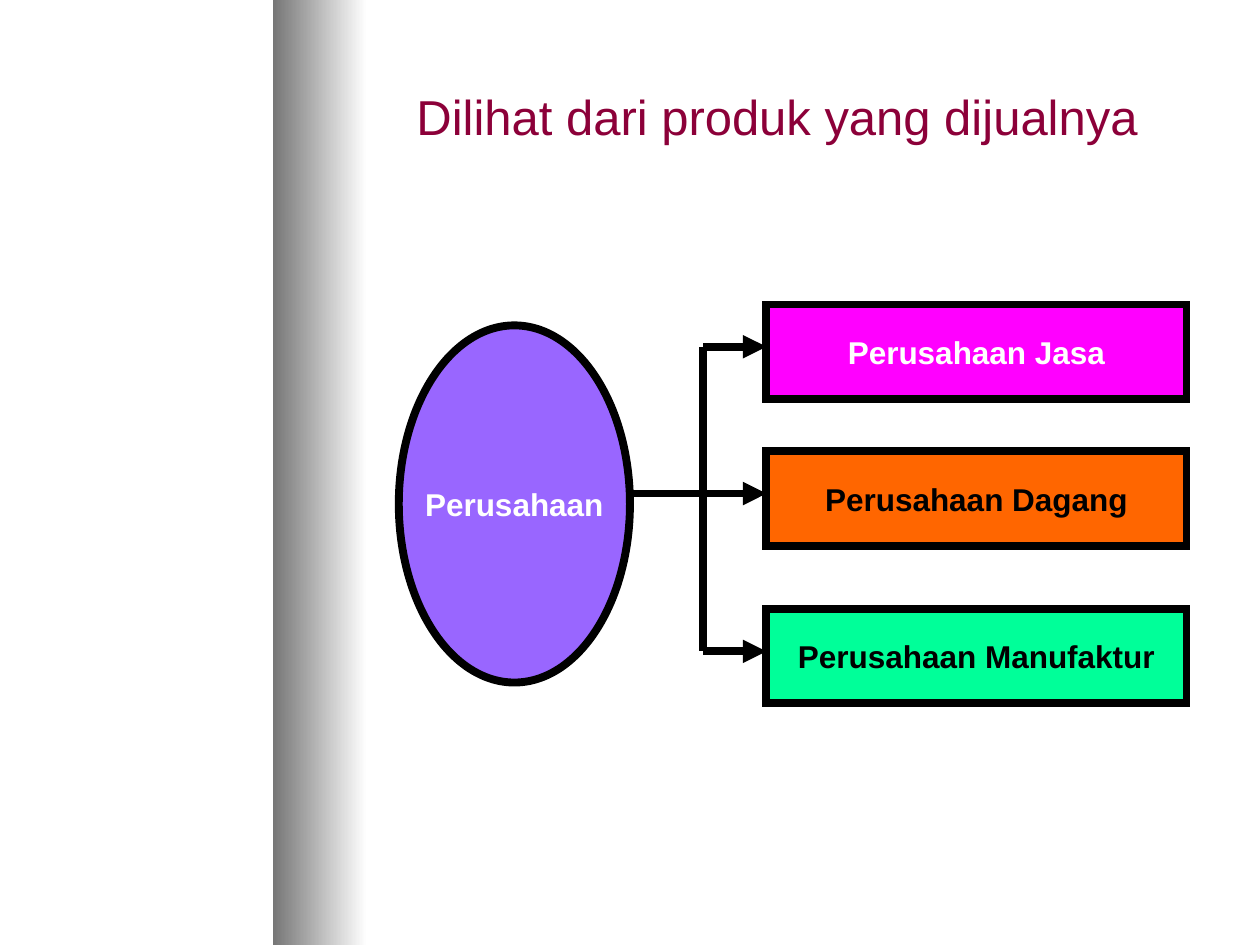
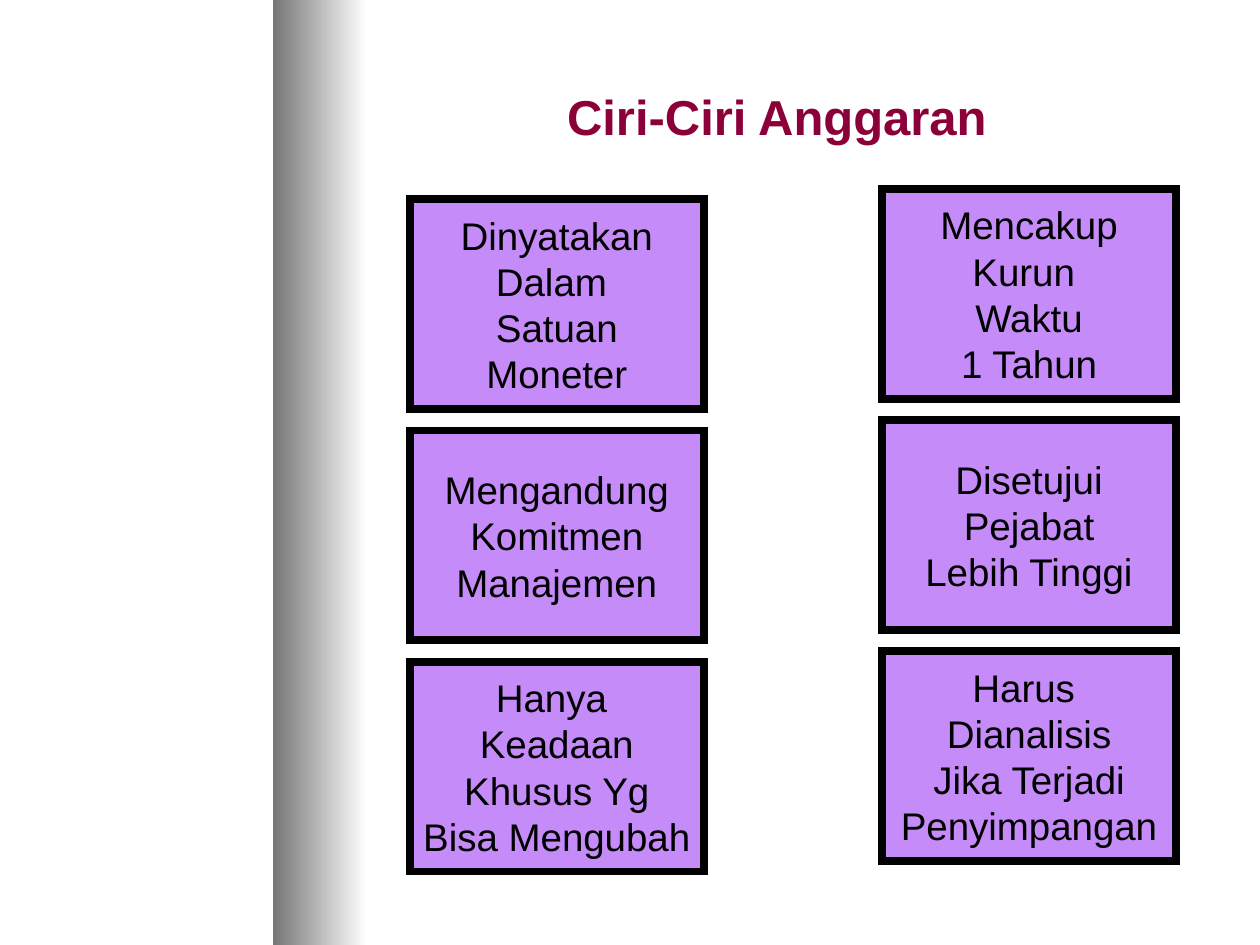
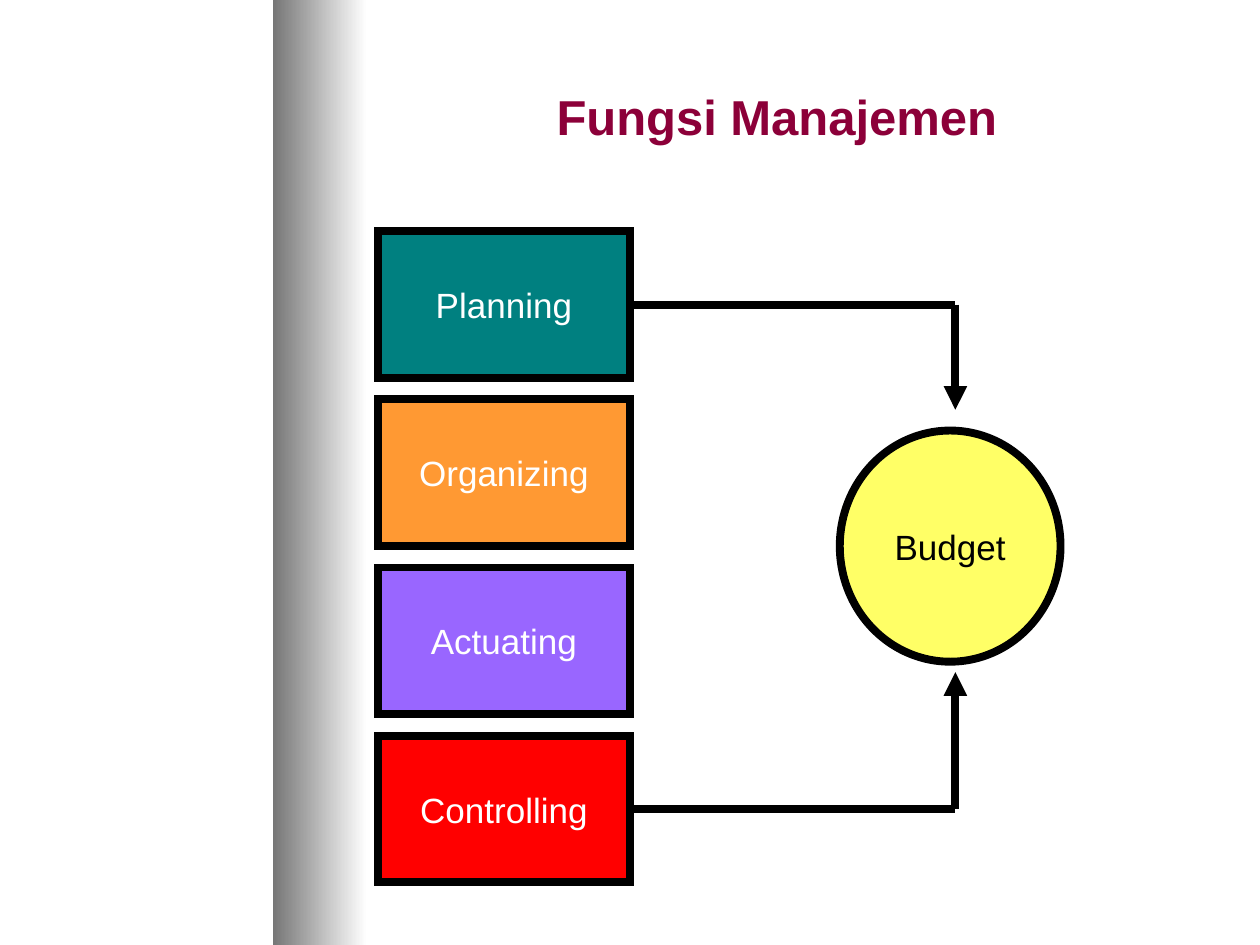
"""Builds three slides on company types, budget traits and management functions."""
import collections

import pptx
import pptx.dml.color
import pptx.enum.shapes
import pptx.enum.text
import pptx.oxml.ns
import pptx.util
from lxml import etree

Cm = pptx.util.Cm
SHAPES = pptx.enum.shapes.MSO_SHAPE
Box = collections.namedtuple("Box", "left top width height")

FONT = "Arial"
BLACK, WHITE = "000000", "FFFFFF"
MAROON, VIOLET, LILAC = "8C0039", "9966FF", "C58BF9"
BAND_DARK = "767676"
OUTLINE = 4.5
TITLE_BOX = Box(6.77, 0.64, 17.78, 3.39)
BAND_BOX = Box(5.5, 0, 1.9, 19.05)


def rgb(code):
    """Turns a hex string into a colour."""
    return pptx.dml.color.RGBColor.from_string(code)


def lengths(box):
    """Turns a box in centimetres into lengths."""
    return [Cm(value) for value in box]


def write(frame, text, size, color, bold=False):
    """Fills a text frame with centred, formatted lines."""
    frame.text = text
    frame.vertical_anchor = pptx.enum.text.MSO_ANCHOR.MIDDLE
    for paragraph in frame.paragraphs:
        paragraph.alignment = pptx.enum.text.PP_ALIGN.CENTER
        for run in paragraph.runs:
            run.font.name = FONT
            run.font.size = pptx.util.Pt(size)
            run.font.bold = bold
            run.font.color.rgb = rgb(color)


def stroke(line, tag, **attributes):
    """Gives a line its black colour and width, and one join or arrowhead."""
    line.color.rgb = rgb(BLACK)
    line.width = pptx.util.Pt(OUTLINE)
    etree.SubElement(line._get_or_add_ln(), pptx.oxml.ns.qn(tag), **attributes)


def add_node(slide, kind, box, fill, text, size, color=BLACK, bold=False):
    """Adds an outlined shape with centred text."""
    node = slide.shapes.add_shape(kind, *lengths(box))
    node.shadow.inherit = False
    node.fill.solid()
    node.fill.fore_color.rgb = rgb(fill)
    stroke(node.line, "a:miter", lim="800000")
    write(node.text_frame, text, size, color, bold)
    node.text_frame.word_wrap = False


def add_line(slide, start, end, arrow=False):
    """Adds a straight line between two points, with an arrowhead if wanted."""
    link = slide.shapes.add_connector(
        pptx.enum.shapes.MSO_CONNECTOR.STRAIGHT, *lengths(start + end))
    stroke(link.line, "a:tailEnd", type="triangle" if arrow else "none")
    etree.SubElement(link.element.spPr, pptx.oxml.ns.qn("a:effectLst"))


def add_band(slide):
    """Places the grey gradient band on the layout of the slide."""
    band = slide.shapes.add_shape(SHAPES.RECTANGLE, *lengths(BAND_BOX))
    band.shadow.inherit = False
    band.line.fill.background()
    band.fill.gradient()
    band.fill.gradient_angle = 0
    for stop, color in zip(band.fill.gradient_stops, (BAND_DARK, WHITE)):
        stop.color.rgb = rgb(color)
    slide.slide_layout.shapes._spTree.insert(2, band.element)


def add_titled_slide(deck, text, bold=True):
    """Adds a title-only slide with its heading."""
    slide = deck.slides.add_slide(deck.slide_layouts[5])
    title = slide.shapes.title
    title.left, title.top, title.width, title.height = lengths(TITLE_BOX)
    write(title.text_frame, text, 28, MAROON, bold)
    return slide


def add_company_tree(slide, box):
    """Draws the company ellipse branching into its three kinds."""
    kinds = [
        (0, "Perusahaan Jasa", "FF00FF", WHITE),
        (2.96, "Perusahaan Dagang", "FF6600", BLACK),
        (6.14, "Perusahaan Manufaktur", "00FF99", BLACK),
    ]
    company = Box(box.left, box.top + 0.42, 4.66, 7.2)
    add_node(slide, SHAPES.OVAL, company, VIOLET, "Perusahaan", 18, WHITE, True)
    kind_width = 8.47
    kind_left = box.left + box.width - kind_width
    trunk = kind_left - 1.27
    entries = [box.top + drop + 0.85 for drop, *_ in kinds]
    starts = [trunk, company.left + company.width, trunk]
    for drop, text, fill, color in kinds:
        kind_box = Box(kind_left, box.top + drop, kind_width, 1.9)
        add_node(slide, SHAPES.RECTANGLE, kind_box, fill, text, 18, color, True)
    add_line(slide, (trunk, entries[0]), (trunk, entries[-1]))
    for start, entry in zip(starts, entries):
        add_line(slide, (start, entry), (kind_left, entry), True)


def add_trait_grid(slide, box):
    """Draws the budget traits in two columns, the left one slightly lower."""
    columns = [
        (0.21, ["Dinyatakan\nDalam \nSatuan\nMoneter",
                "Mengandung\nKomitmen\nManajemen",
                "Hanya \nKeadaan\nKhusus Yg\nBisa Mengubah"]),
        (0, ["Mencakup\nKurun \nWaktu\n1 Tahun",
             "Disetujui\nPejabat\nLebih Tinggi",
             "Harus \nDianalisis\nJika Terjadi\nPenyimpangan"]),
    ]
    width, height, pitch = 5.93, 4.23, 4.66
    for column, (drop, traits) in enumerate(columns):
        left = box.left + column * (box.width - width)
        for row, trait in enumerate(traits):
            trait_box = Box(left, box.top + drop + row * pitch, width, height)
            add_node(slide, SHAPES.RECTANGLE, trait_box, LILAC, trait, 22)


def add_function_flow(slide, box):
    """Draws the stack of functions, the first and last leading to the budget."""
    functions = [("Planning", "008080"), ("Organizing", "FF9933"),
                 ("Actuating", VIOLET), ("Controlling", "FF0000")]
    width, height = 5.08, 2.96
    pitch = (box.height - height) / (len(functions) - 1)
    for row, (text, fill) in enumerate(functions):
        function_box = Box(box.left, box.top + row * pitch, width, height)
        add_node(slide, SHAPES.RECTANGLE, function_box, fill, text, 20, WHITE)
    budget = Box(box.left + box.width - 4.45, box.top + 4.02, 4.45, 4.66)
    add_node(slide, SHAPES.OVAL, budget, "FFFF66", "Budget", 20)
    turn = budget.left + 2.33
    first = box.top + height / 2
    last = box.top + box.height - height / 2
    ends = [(first, budget.top - 0.42), (last, budget.top + budget.height + 0.21)]
    for level, tip in ends:
        add_line(slide, (box.left + width, level), (turn, level))
        add_line(slide, (turn, level), (turn, tip), True)


def main():
    """Builds and saves the presentation."""
    deck = pptx.Presentation()
    deck.slide_width, deck.slide_height = Cm(25.4), Cm(19.05)
    companies = add_titled_slide(deck, "Dilihat dari produk yang dijualnya", False)
    add_band(companies)
    add_company_tree(companies, Box(8.04, 6.14, 15.88, 8.04))
    traits = add_titled_slide(deck, "Ciri-Ciri Anggaran")
    add_trait_grid(traits, Box(8.26, 3.81, 15.45, 13.76))
    functions = add_titled_slide(deck, "Fungsi Manajemen")
    add_function_flow(functions, Box(7.62, 4.66, 13.76, 13.13))
    deck.save("out.pptx")


if __name__ == "__main__":
    main()
